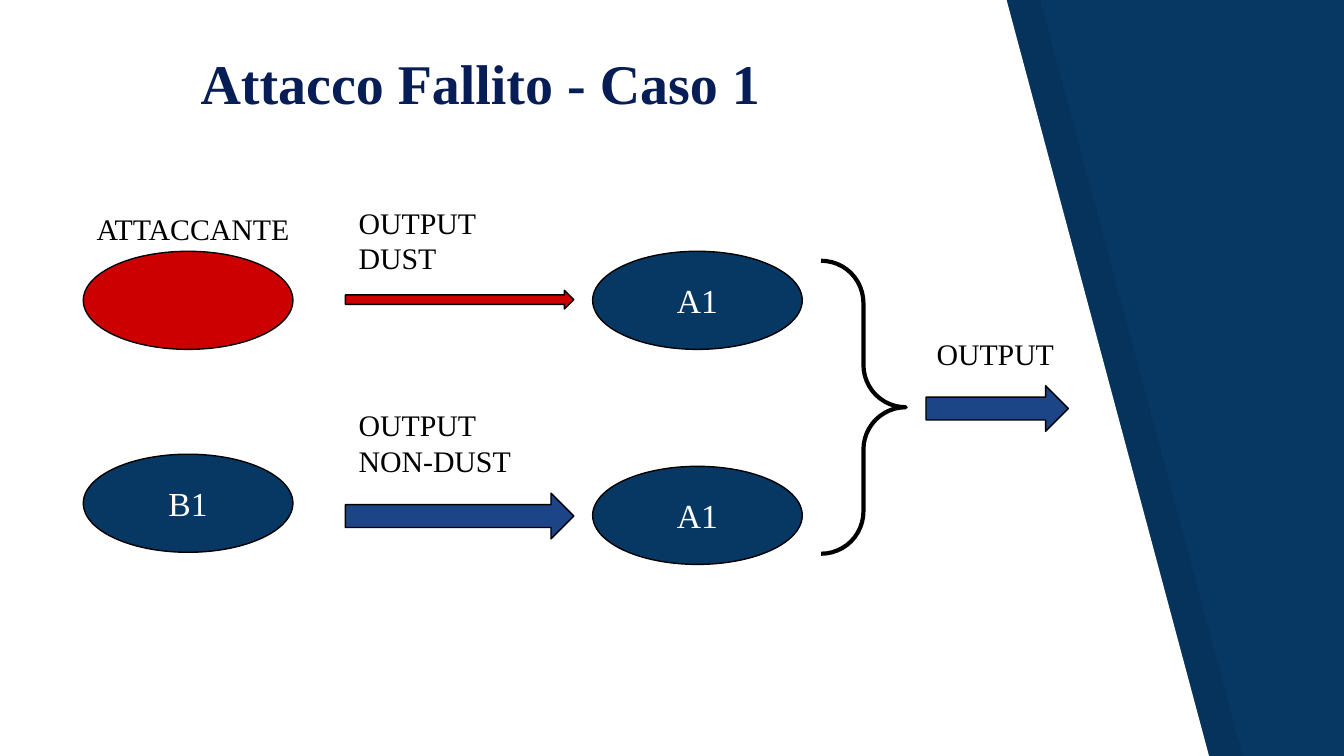
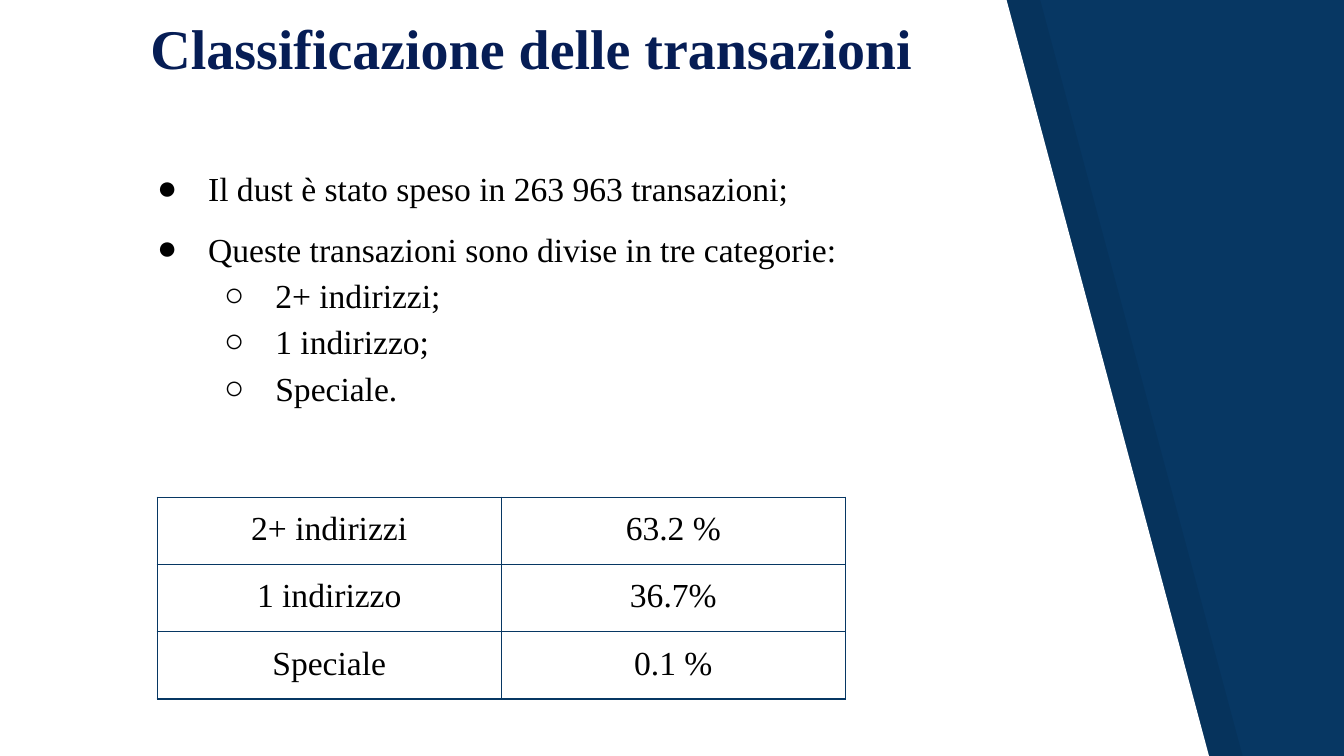
from dataclasses import dataclass

from lxml import etree
from pptx import Presentation
from pptx import util as u
from pptx.dml.color import RGBColor
from pptx.enum import shapes, text
from pptx.oxml import ns


@dataclass(frozen=True)
class Theme:
    font: str = "Times New Roman"
    navy: str = "073763"
    title: str = "061D55"
    blue: str = "1C4587"
    red: str = "CC0000"
    black: str = "000000"
    white: str = "FFFFFF"
    title_size: int = 30
    body_size: int = 18
    label_size: int = 16
    thin: float = 0.75
    thick: float = 2.25


theme = Theme()
kind = shapes.MSO_SHAPE
left, center = text.PP_ALIGN.LEFT, text.PP_ALIGN.CENTER
top, middle, bottom = text.MSO_ANCHOR.TOP, text.MSO_ANCHOR.MIDDLE, text.MSO_ANCHOR.BOTTOM


def write(frame, content, size=theme.body_size, color=theme.black, bold=False,
          align=left, anchor=top):
    """Fill a text frame, one paragraph for each line of content."""
    frame.word_wrap = True
    frame.vertical_anchor = anchor
    frame.margin_left = frame.margin_right = u.Inches(0.1)
    frame.margin_top = frame.margin_bottom = u.Inches(0.1)
    frame.text = content
    for para in frame.paragraphs:
        para.alignment = align
        for span in para.runs:
            span.font.name = theme.font
            span.font.size = u.Pt(size)
            span.font.bold = bold
            span.font.color.rgb = RGBColor.from_string(color)


def add_shape(page, preset, place, fill, line_width=theme.thin):
    """Add an outlined preset shape; a fill of None leaves it open."""
    shape = page.shapes.add_shape(preset, *map(u.Inches, place))
    shape.shadow.inherit = False
    if fill:
        shape.fill.solid()
        shape.fill.fore_color.rgb = RGBColor.from_string(fill)
    else:
        shape.fill.background()
    shape.line.color.rgb = RGBColor.from_string(theme.black)
    shape.line.width = u.Pt(line_width)
    return shape


# A 16:9 deck
deck = Presentation()
deck.slide_width = u.Inches(10)
deck.slide_height = u.Inches(10) * 9 // 16

# Shared look: navy background, slanted white panel with its shade, title
titles = [
    ("Attacco Fallito - Caso 1", 0.51, 5.25),
    ("Classificazione delle transazioni", 0.25, 6.01),
]
pages = []
for title, title_top, title_width in titles:
    page = deck.slides.add_slide(deck.slide_layouts[6])
    page.background.fill.solid()
    page.background.fill.fore_color.rgb = RGBColor.from_string(theme.navy)
    for shift, color, opacity in [(0.25, theme.black, 7), (0, theme.white, 100)]:
        corners = [(shift, 5.64), (shift + 9, 5.64), (shift + 7.49, 0)]
        outline = page.shapes.build_freeform(u.Inches(shift), u.Inches(-0.01))
        outline.add_line_segments([(u.Inches(x), u.Inches(y)) for x, y in corners])
        panel = outline.convert_to_shape()
        panel.shadow.inherit = False
        panel.line.fill.background()
        panel.fill.solid()
        panel.fill.fore_color.rgb = RGBColor.from_string(color)
        if opacity < 100:
            tint = panel.fill._xPr.find(".//" + ns.qn("a:srgbClr"))
            etree.SubElement(tint, ns.qn("a:alpha"), val=str(opacity * 1000))
    box = page.shapes.add_textbox(*map(u.Inches, (0.95, title_top, title_width, 0.45)))
    write(box.text_frame, title, size=theme.title_size, color=theme.title, bold=True,
          align=center, anchor=bottom)
    pages.append(page)
attack_page, class_page = pages

# Attack: addresses
for x, y, fill, name in [
    (0.62, 1.87, theme.red, ""),
    (0.62, 3.38, theme.navy, "B1"),
    (4.41, 1.87, theme.navy, "A1"),
    (4.41, 3.47, theme.navy, "A1"),
]:
    address = add_shape(attack_page, kind.OVAL, (x, y, 1.56, 0.73), fill)
    if name:
        write(address.text_frame, name, color=theme.white, align=center, anchor=middle)

# Attack: outputs flowing between them
for place, fill in [
    ((2.57, 2.16, 1.7, 0.14), theme.red),
    ((2.57, 3.67, 1.7, 0.34), theme.blue),
    ((6.89, 2.87, 1.06, 0.34), theme.blue),
]:
    add_shape(attack_page, kind.RIGHT_ARROW, place, fill)

brace = add_shape(attack_page, kind.RIGHT_BRACE, (6.11, 1.94, 0.63, 2.18), None, theme.thick)
brace.adjustments[0] = 0.5

# Attack: labels
for label, *place in [
    ("ATTACCANTE", 0.62, 1.47, 1.95, 0.47),
    ("OUTPUT DUST", 2.57, 1.42, 1.59, 0.74),
    ("OUTPUT NON-DUST", 2.57, 2.93, 1.59, 0.74),
    ("OUTPUT", 6.87, 2.4, 1.59, 0.47),
]:
    box = attack_page.shapes.add_textbox(*map(u.Inches, place))
    write(box.text_frame, label, size=theme.label_size)

# Classification: bullets on two levels
bullets = [
    ("Il dust è stato speso in 263 963 transazioni;", 0),
    ("Queste transazioni sono divise in tre categorie:", 0),
    ("2+ indirizzi;", 1),
    ("1 indirizzo;", 1),
    ("Speciale.", 1),
]
box = class_page.shapes.add_textbox(*map(u.Inches, (0.95, 1, 5.55, 2.11)))
write(box.text_frame, "\n".join(line for line, level in bullets))
for para, (line, level) in zip(box.text_frame.paragraphs, bullets):
    para.level = level
    para.line_spacing = (1.5, 1.15)[level]
    props = para._p.get_or_add_pPr()
    props.set("marL", str(u.Inches(0.5 * (level + 1))))
    props.set("indent", str(u.Inches(-0.38)))
    color = etree.SubElement(props, ns.qn("a:buClr"))
    etree.SubElement(color, ns.qn("a:srgbClr"), val=theme.black)
    etree.SubElement(props, ns.qn("a:buFont"), typeface=theme.font)
    etree.SubElement(props, ns.qn("a:buChar"), char="●○"[level])

# Classification: share of each category
shares = [("2+ indirizzi", "63.2 %"), ("1 indirizzo", "36.7%"), ("Speciale", "0.1 %")]
table = class_page.shapes.add_table(
    len(shares), 2, *map(u.Inches, (1.17, 3.7, 5.12, 1.5))).table
table.first_row = table.horz_banding = False
for row, values in enumerate(shares):
    for column, value in enumerate(values):
        cell = table.cell(row, column)
        write(cell.text_frame, value, align=center)
        cell.margin_left = cell.margin_right = u.Inches(0.1)
        cell.margin_top = cell.margin_bottom = u.Inches(0.1)
        cell.fill.background()
        props = cell._tc.get_or_add_tcPr()
        for place, side in enumerate(("lnL", "lnR", "lnT", "lnB")):
            border = etree.Element(ns.qn("a:" + side), w=str(u.Pt(theme.thin)))
            paint = etree.SubElement(border, ns.qn("a:solidFill"))
            etree.SubElement(paint, ns.qn("a:srgbClr"), val=theme.navy)
            props.insert(place, border)

deck.save("out.pptx")
